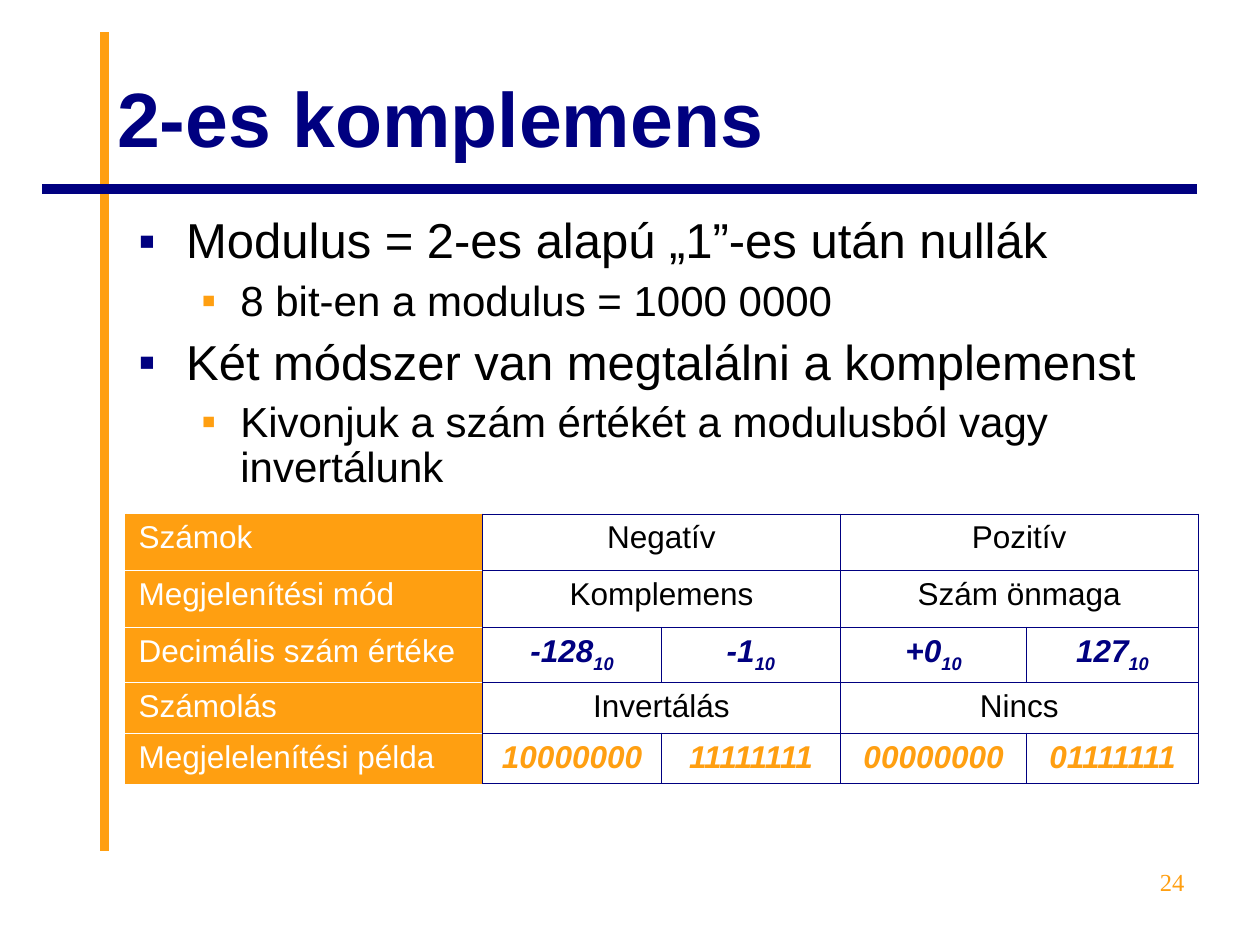
"""Build a slide on two's complement with bullets and a table."""
import pptx
import pptx.util
import pptx.dml.color
import pptx.enum.shapes
import pptx.enum.text
import pptx.oxml
import pptx.oxml.ns

Inches = pptx.util.Inches
Pt = pptx.util.Pt
ALIGN = pptx.enum.text.PP_ALIGN
ANCHOR = pptx.enum.text.MSO_ANCHOR
NS = pptx.oxml.ns.nsdecls("a")
HUES = {"navy": "000080", "gold": "FF9F11", "black": "000000", "white": "FFFFFF"}


class Deck:
    def __init__(self):
        self.file = pptx.Presentation()
        self.file.slide_width, self.file.slide_height = Inches(10), Inches(7.5)
        self.slide = self.file.slides.add_slide(self.file.slide_layouts[5])

    def color(self, hue):
        return pptx.dml.color.RGBColor.from_string(HUES[hue])

    def run(self, para, text, size, hue, bold=False, slant=False, face="Arial", base=0):
        run = para.add_run()
        run.text = text
        font = run.font
        font.size, font.name, font.bold, font.italic = Pt(size), face, bold, slant
        font.color.rgb = self.color(hue)
        if base:
            run._r.get_or_add_rPr().set("baseline", str(base * 1000))

    def place(self, shape, box):
        shape.left, shape.top, shape.width, shape.height = map(Inches, box)
        frame = shape.text_frame
        frame.word_wrap = True
        frame.auto_size = pptx.enum.text.MSO_AUTO_SIZE.NONE
        return frame

    def title(self, text, box):
        frame = self.place(self.slide.shapes.title, box)
        frame.vertical_anchor = ANCHOR.MIDDLE
        para = frame.paragraphs[0]
        para.alignment = ALIGN.LEFT
        self.run(para, text, 44, "navy", bold=True)

    def rule(self, start, end, hue):
        kind = pptx.enum.shapes.MSO_CONNECTOR.STRAIGHT
        line = self.slide.shapes.add_connector(kind, *map(Inches, start + end))
        line.line.color.rgb = self.color(hue)
        line.line.width = Pt(5.5)
        line._element.spPr.append(pptx.oxml.parse_xml(f"<a:effectLst {NS}/>"))

    def text(self, box):
        return self.place(self.slide.shapes.add_textbox(*map(Inches, box)), box)

    def list(self, items, box):
        styles = [(28, 7, "navy", 0.38, 0.38), (24, 6, "gold", 0.81, 0.31)]
        frame = self.text(box)
        for num, (level, text) in enumerate(items):
            size, gap, hue, left, hang = styles[level]
            para = frame.add_paragraph() if num else frame.paragraphs[0]
            para.level = level
            props = para._p.get_or_add_pPr()
            props.set("marL", str(Inches(left)))
            props.set("indent", str(-Inches(hang)))
            for mark in (
                f'<a:buClr {NS}><a:srgbClr val="{HUES[hue]}"/></a:buClr>',
                f'<a:buFont {NS} typeface="Arial"/>',
                f'<a:buChar {NS} char="▪"/>',
            ):
                props.append(pptx.oxml.parse_xml(mark))
            para.line_spacing = 0.9
            para.space_before = Pt(gap if num else 0)
            self.run(para, text, size, "black")

    def edge(self, cell, **sides):
        props = cell._tc.get_or_add_tcPr()
        for side in "LRTB":
            hue = HUES[sides.get(side, "navy")]
            props.append(pptx.oxml.parse_xml(
                f'<a:ln{side} {NS} w="{Pt(0.75)}"><a:solidFill>'
                f'<a:srgbClr val="{hue}"/></a:solidFill></a:ln{side}>'))

    def table(self, rows, spot, wides, highs):
        size = (sum(wides), sum(highs))
        shape = self.slide.shapes.add_table(
            len(rows), len(wides), *map(Inches, spot + size))
        grid = shape.table
        grid.first_row = grid.horz_banding = False
        for col, wide in zip(grid.columns, wides):
            col.width = Inches(wide)
        for row, high in zip(grid.rows, highs):
            row.height = Inches(high)
        last = len(rows) - 1
        for r, (head, hue, strong, base, texts) in enumerate(rows):
            for c in range(len(wides)):
                cell = grid.cell(r, c)
                if c:
                    self.edge(cell)
                    cell.fill.background()
                else:
                    self.edge(cell, L="gold", T="white" if r else "gold",
                              B="gold" if r == last else "white")
                    cell.fill.solid()
                    cell.fill.fore_color.rgb = self.color("gold")
            self.run(grid.cell(r, 0).text_frame.paragraphs[0], head, 18, "white")
            span = 4 // len(texts)
            for num, text in enumerate(texts):
                c = 1 + num * span
                cell = grid.cell(r, c)
                if span > 1:
                    cell.merge(grid.cell(r, c + span - 1))
                para = cell.text_frame.paragraphs[0]
                para.alignment = ALIGN.CENTER
                self.run(para, text, 18, hue, strong, strong)
                if base:
                    self.run(para, base, 18, hue, strong, strong, base=-25)

    def number(self, text, box):
        para = self.text(box).paragraphs[0]
        para.alignment = ALIGN.RIGHT
        self.run(para, text, 14, "gold", face="Times New Roman")


def main():
    deck = Deck()
    deck.rule((0.83, 6.75), (0.83, 0.25), "gold")
    deck.rule((9.5, 1.5), (0.33, 1.5), "navy")
    deck.title("2-es komplemens", (0.83, 0.3, 8.67, 1.25))
    deck.list([
        (0, "Modulus = 2-es alapú „1”-es után nullák"),
        (1, "8 bit-en a modulus = 1000 0000"),
        (0, "Két módszer van megtalálni a komplemenst"),
        (1, "Kivonjuk a szám értékét a modulusból vagy invertálunk"),
    ], (1, 1.67, 8.5, 2.39))
    deck.table([
        ("Számok", "black", False, "", ["Negatív", "Pozitív"]),
        ("Megjelenítési mód", "black", False, "", ["Komplemens", "Szám önmaga"]),
        ("Decimális szám értéke", "navy", True, "10", ["-128", "-1", "+0", "127"]),
        ("Számolás", "black", False, "", ["Invertálás", "Nincs"]),
        ("Megjelelenítési példa", "gold", True, "",
         ["10000000", "11111111", "00000000", "01111111"]),
    ], (1, 4.08), (2.83, 1.42, 1.42, 1.48, 1.36), (0.45, 0.45, 0.44, 0.4, 0.4))
    deck.number("24", (7.17, 6.83, 2.33, 0.52))
    deck.file.save("out.pptx")


if __name__ == "__main__":
    main()
